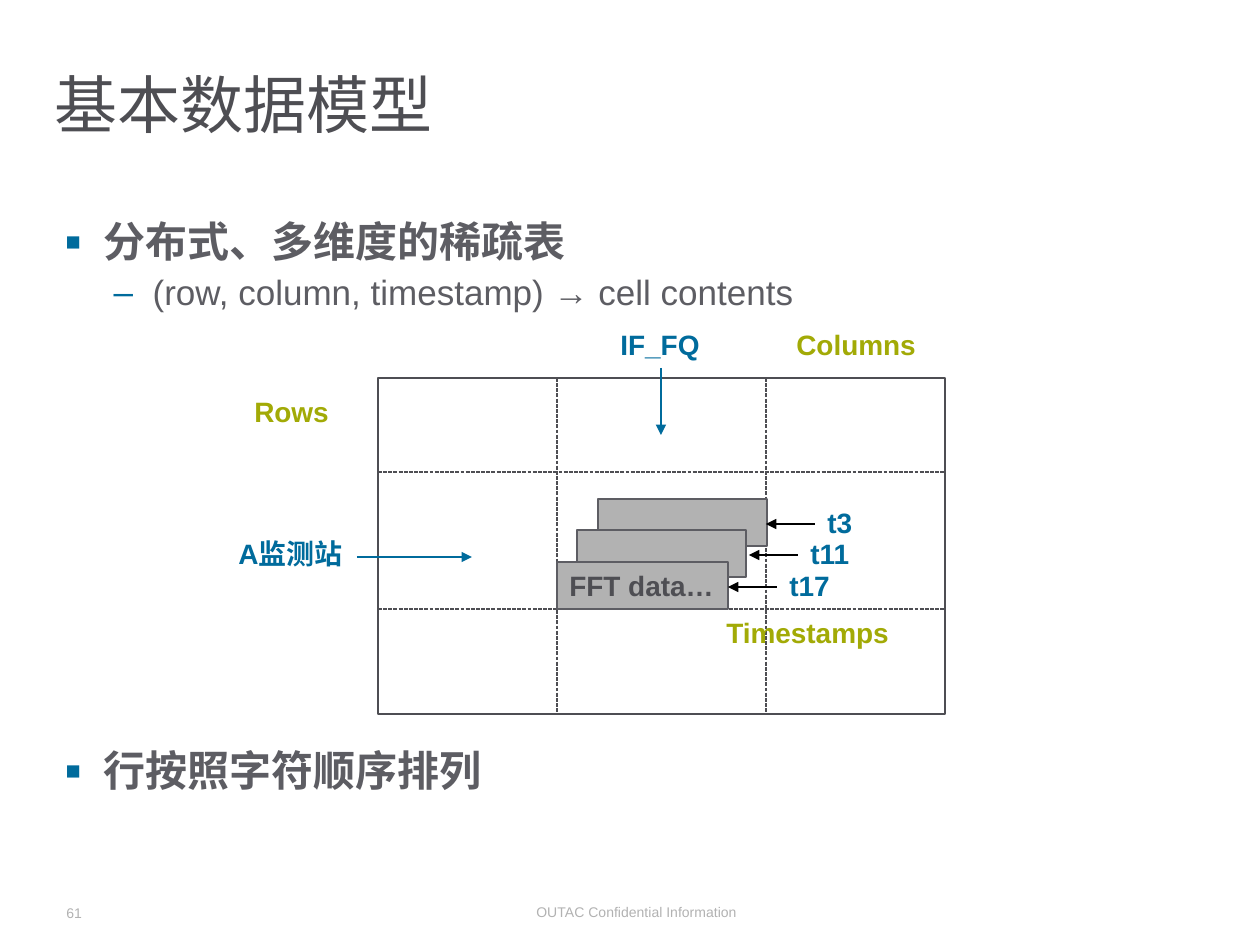
from lxml.etree import SubElement
from pptx import Presentation
from pptx.dml.color import RGBColor
from pptx.enum.dml import MSO_LINE
from pptx.enum.shapes import MSO_CONNECTOR, MSO_SHAPE
from pptx.enum.text import MSO_ANCHOR, MSO_AUTO_SIZE, PP_ALIGN
from pptx.oxml.ns import qn
from pptx.util import Emu, Pt

PX_PER_INCH = 126
DARK, GRAY, SILVER = "4E4E53", "5D5D63", "B2B2B2"
BLUE, OLIVE, BLACK, WHITE = "006B9C", "A2AA06", "000000", "FFFFFF"


def px(length):
    return Emu(round(length * 914400 / PX_PER_INCH))


def rgb(color):
    return RGBColor.from_string(color)


def set_bullet(paragraph, character, color, left, hanging, percent):
    """Give the paragraph a coloured bullet and a hanging indent in px."""
    properties = paragraph._p.get_or_add_pPr()
    properties.set("marL", str(px(left)))
    properties.set("indent", str(-px(hanging)))
    bullet_color = SubElement(properties, qn("a:buClr"))
    SubElement(bullet_color, qn("a:srgbClr"), val=color)
    SubElement(properties, qn("a:buSzPct"), val=str(percent * 1000))
    SubElement(properties, qn("a:buFont"), typeface="Arial")
    SubElement(properties, qn("a:buChar"), char=character)


class SlideBuilder:
    """Holds the font and the current slide."""

    def __init__(self, slide, font="Arial"):
        self.slide = slide
        self.font = font

    def format_runs(self, paragraph, size, color, bold=False):
        paragraph.alignment = PP_ALIGN.LEFT
        for run in paragraph.runs:
            run.font.name = self.font
            run.font.size = Pt(size)
            run.font.bold = bold
            run.font.color.rgb = rgb(color)

    def place(self, shape, left, top, width, height):
        shape.left, shape.top = px(left), px(top)
        shape.width, shape.height = px(width), px(height)
        shape.text_frame.auto_size = MSO_AUTO_SIZE.NONE

    def title(self, text, *box):
        title = self.slide.shapes.title
        self.place(title, *box)
        title.text_frame.vertical_anchor = MSO_ANCHOR.BOTTOM
        title.text_frame.text = text
        self.format_runs(title.text_frame.paragraphs[0], 36, DARK)

    def bullets(self, items, *box):
        """Fill the body with (level, text, space before in points)."""
        body = self.slide.placeholders[1]
        self.place(body, *box)
        frame = body.text_frame
        frame.text = "\n".join(text for _, text, _ in items)
        for paragraph, (level, _, space) in zip(frame.paragraphs, items):
            paragraph.level = level
            paragraph.line_spacing = 0.9
            paragraph.space_before = Pt(space)
            if level == 0:
                set_bullet(paragraph, "■", BLUE, 38, 38, 60)
                self.format_runs(paragraph, 24, GRAY, bold=True)
            else:
                set_bullet(paragraph, "–", BLUE, 87, 39, 100)
                self.format_runs(paragraph, 20, GRAY)

    def text(self, text, left, top, width, height=47, color=BLUE,
             size=16, bold=True, wrap=False):
        box = self.slide.shapes.add_textbox(px(left), px(top), px(width), px(height))
        box.text_frame.word_wrap = wrap
        box.text_frame.text = text
        self.format_runs(box.text_frame.paragraphs[0], size, color, bold)

    def rectangle(self, left, top, width, height, fill, line):
        shape = self.slide.shapes.add_shape(
            MSO_SHAPE.RECTANGLE, px(left), px(top), px(width), px(height))
        shape.shadow.inherit = False
        shape.fill.solid()
        shape.fill.fore_color.rgb = rgb(fill)
        shape.line.color.rgb = rgb(line)
        shape.line.width = Pt(0.75)
        return shape

    def card(self, text, *box):
        shape = self.rectangle(*box, SILVER, GRAY)
        frame = shape.text_frame
        frame.word_wrap = False
        frame.vertical_anchor = MSO_ANCHOR.TOP
        frame.text = text
        self.format_runs(frame.paragraphs[0], 16, DARK, bold=True)

    def line(self, start, end, color, width):
        connector = self.slide.shapes.add_connector(
            MSO_CONNECTOR.STRAIGHT, *map(px, (*start, *end)))
        connector.line.color.rgb = rgb(color)
        connector.line.width = Pt(width)
        SubElement(connector._element.spPr, qn("a:effectLst"))
        return connector.line

    def dashed_line(self, start, end):
        self.line(start, end, DARK, 0.75).dash_style = MSO_LINE.SQUARE_DOT

    def arrow(self, start, end, color):
        line = self.line(start, end, color, 1.5)
        SubElement(line._get_or_add_ln(), qn("a:tailEnd"), type="triangle")


def main():
    presentation = Presentation()
    presentation.slide_width, presentation.slide_height = px(1260), px(945)
    slide = presentation.slides.add_slide(presentation.slide_layouts[1])
    builder = SlideBuilder(slide)

    builder.title("基本数据模型", 42, 21, 1176, 126)
    builder.bullets([
        (0, "分布式、多维度的稀疏表", 0),
        (1, "(row, column, timestamp) → cell contents", 5),
        (0, "行按照字符顺序排列", 250),
    ], 53, 215, 1155, 656)
    builder.text("OUTAC Confidential Information", 524, 897, 229, 30,
                 color=SILVER, size=8, bold=False)
    builder.text("61", 54, 898, 294, 34, color=SILVER, size=8, bold=False)

    # Sparse table with its inner grid
    left, *inner_columns, right = 378, 557, 766, 945
    top, *inner_rows, bottom = 378, 472, 609, 714
    builder.rectangle(left, top, right - left, bottom - top, WHITE, DARK)
    for y in inner_rows:
        builder.dashed_line((left, y), (right, y))
    for x in inner_columns:
        builder.dashed_line((x, top), (x, bottom))

    # Dimension names
    builder.text("Columns", 784, 321, 146, color=OLIVE)
    builder.text("Rows", 242, 388, 101, color=OLIVE)
    builder.text("Timestamps", 714, 609, 190, color=OLIVE)

    # Sample column and row
    builder.text("IF_FQ", 608, 321, 106)
    builder.arrow((661, 368), (661, 435), BLUE)
    builder.text("A监测站", 226, 530, 131, wrap=True)
    builder.arrow((357, 557), (472, 557), BLUE)

    # Cell versions, from back to front
    versions = [
        ("t3", "", 598, 499, 169, 815),
        ("t11", "", 577, 530, 169, 798),
        ("t17", "FFT data…", 557, 562, 171, 777),
    ]
    for stamp, content, card_left, card_top, width, label_left in versions:
        builder.card(content, card_left, card_top, width, 47)
        builder.text(stamp, label_left, card_top, 66)
        arrow_y = card_top + 25
        builder.arrow((label_left, arrow_y), (label_left - 49, arrow_y), BLACK)

    presentation.save("out.pptx")


if __name__ == "__main__":
    main()
